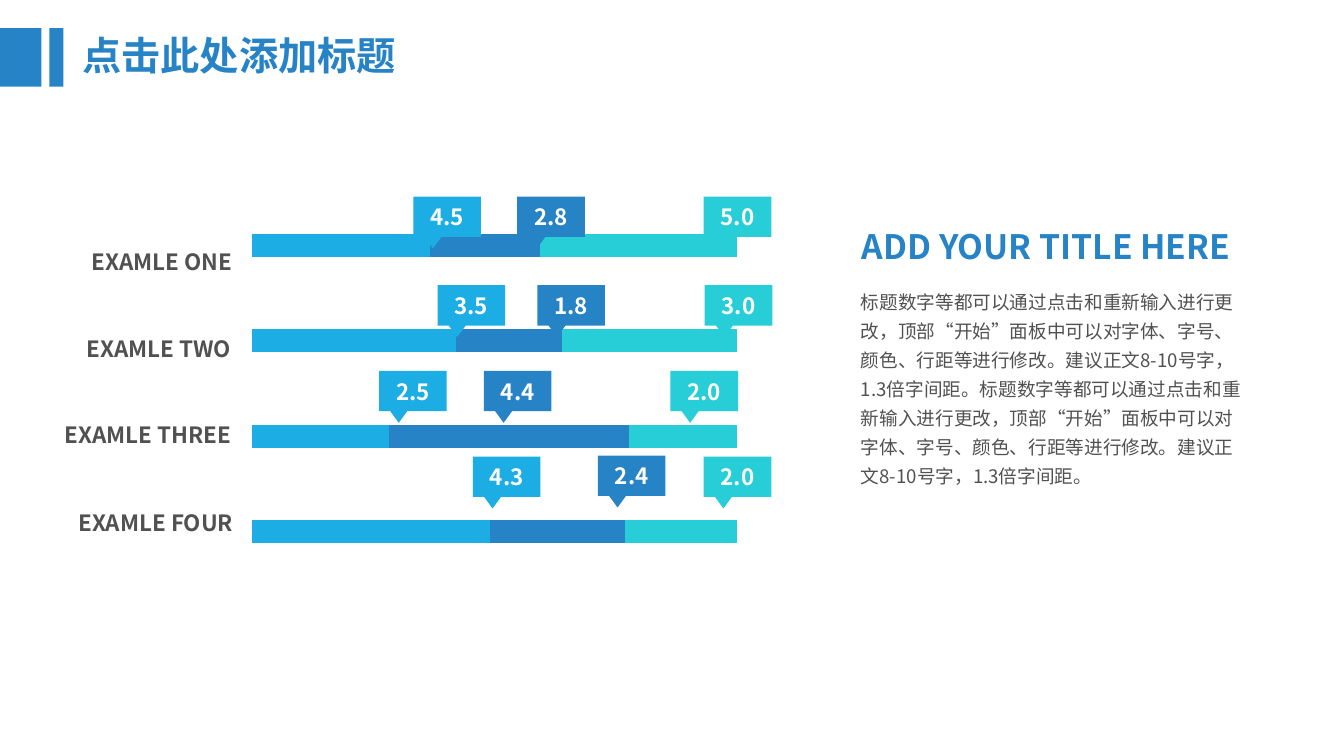
from dataclasses import dataclass
from typing import NamedTuple

from pptx import Presentation
from pptx.chart.data import CategoryChartData
from pptx.dml.color import RGBColor
from pptx.enum.chart import XL_CHART_TYPE as Kind
from pptx.enum.lang import MSO_LANGUAGE_ID as Lang
from pptx.enum.shapes import MSO_SHAPE as Form
from pptx.enum.text import MSO_ANCHOR as Anchor, MSO_AUTO_SIZE as Fit, PP_ALIGN as Align
from pptx.oxml.xmlchemy import OxmlElement
from pptx.shapes.autoshape import Shape
from pptx.slide import Slide
from pptx.util import Pt

SCALE = 9144


@dataclass(frozen=True)
class Theme:
    sky: str = "1CADE4"
    blue: str = "2683C6"
    teal: str = "27CED7"
    grey: str = "515151"
    white: str = "FFFFFF"
    black: str = "000000"
    face: str = "Noto Sans CJK SC"
    plain: str = "Calibri"
    title: float = 28
    head: float = 24
    label: float = 16
    body: float = 13.3
    chart: float = 10


THEME = Theme()
HUES = (THEME.sky, THEME.blue, THEME.teal)


class Box(NamedTuple):
    x: int
    y: int
    w: int
    h: int

    def emu(self) -> list[int]:
        return [side * SCALE for side in self]


@dataclass(frozen=True)
class Note:
    text: str
    box: Box
    size: float
    color: str
    bold: bool = True
    align: Align = Align.LEFT
    space: float = 1.0
    wrap: bool = False
    fit: Fit = Fit.SHAPE_TO_FIT_TEXT
    anchor: Anchor = Anchor.TOP


class Tag(NamedTuple):
    text: str
    x: int
    y: int


class Series(NamedTuple):
    name: str
    vals: tuple[int, ...]


BODY = (
    "标题数字等都可以通过点击和重新输入进行更改，顶部“开始”面板中可以对字体、字号、"
    "颜色、行距等进行修改。建议正文8-10号字，1.3倍字间距。"
) * 2

BARS = (Box(0, 28, 41, 58), Box(49, 28, 14, 58))

LABELS = (
    ("EXAMLE ONE", Box(69, 228, 171, 50)),
    ("EXAMLE TWO", Box(61, 314, 178, 50)),
    ("EXAMLE THREE", Box(44, 400, 195, 50)),
    ("EXAMLE FOUR", Box(56, 487, 185, 50)),
)

NOTES = (
    Note("点击此处添加标题", Box(72, 28, 577, 58), THEME.title, THEME.blue,
         space=0.9, wrap=True, fit=Fit.NONE, anchor=Anchor.MIDDLE),
    *(Note(text, box, THEME.label, THEME.grey, align=Align.RIGHT, space=1.5)
      for text, box in LABELS),
    Note(BODY, Box(844, 277, 407, 214), THEME.body, THEME.grey,
         bold=False, space=1.3, wrap=True),
    Note("ADD YOUR TITLE HERE", Box(845, 219, 408, 50), THEME.head, THEME.blue),
)

TAGS = (
    (Tag("4.5", 410, 195), Tag("2.8", 513, 195), Tag("5.0", 698, 195)),
    (Tag("3.5", 434, 283), Tag("1.8", 533, 283), Tag("3.0", 699, 283)),
    (Tag("2.5", 376, 368), Tag("4.4", 480, 368), Tag("2.0", 665, 368)),
    (Tag("4.3", 469, 453), Tag("2.4", 593, 452), Tag("2.0", 698, 453)),
)

DATA = (
    Series("Series 1", (49, 28, 42, 37)),
    Series("Series 2", (28, 49, 22, 23)),
    Series("Series 3", (23, 22, 36, 41)),
)


def tint(code: str) -> RGBColor:
    return RGBColor.from_string(code)


def write(shape: Shape, note: Note) -> None:
    frame = shape.text_frame
    frame.word_wrap = note.wrap
    frame.auto_size = note.fit
    frame.vertical_anchor = note.anchor
    para = frame.paragraphs[0]
    para.alignment = note.align
    para.line_spacing = note.space
    run = para.add_run()
    run.text = note.text
    font = run.font
    font.size = Pt(note.size)
    font.bold = note.bold
    font.language_id = Lang.SIMPLIFIED_CHINESE
    font.color.rgb = tint(note.color)
    font.name = THEME.face
    east = OxmlElement("a:ea")
    east.set("typeface", THEME.face)
    run._r.get_or_add_rPr().append(east)


def block(slide: Slide, form: Form, box: Box, color: str) -> Shape:
    shape = slide.shapes.add_shape(form, *box.emu())
    shape.shadow.inherit = False
    shape.fill.solid()
    shape.fill.fore_color.rgb = tint(color)
    shape.line.fill.background()
    return shape


def plot(slide: Slide, box: Box) -> None:
    data = CategoryChartData()
    data.categories = ["1", "2", "3", "4"]
    for item in DATA:
        data.add_series(item.name, item.vals)
    chart = slide.shapes.add_chart(Kind.BAR_STACKED_100, *box.emu(), data).chart
    chart.has_legend = False
    chart.has_title = False
    chart.font.name = THEME.plain
    chart.font.size = Pt(THEME.chart)
    chart.font.color.rgb = tint(THEME.black)
    for axis in (chart.category_axis, chart.value_axis):
        axis.has_major_gridlines = False
        axis.visible = False
    bars = chart.plots[0]
    bars.vary_by_categories = False
    bars.gap_width = 315
    bars.overlap = 100
    for series, hue in zip(bars.series, HUES):
        series.format.fill.solid()
        series.format.fill.fore_color.rgb = tint(hue)


def flag(slide: Slide, tag: Tag, color: str) -> None:
    box = Box(tag.x, tag.y, 67, 40)
    shape = block(slide, Form.RECTANGULAR_CALLOUT, box, color)
    shape.adjustments[0] = -0.208
    shape.adjustments[1] = 0.788
    write(shape, Note(tag.text, box, THEME.label, THEME.white, align=Align.CENTER,
                      wrap=True, fit=Fit.NONE, anchor=Anchor.MIDDLE))


def main() -> None:
    deck = Presentation()
    deck.slide_width, deck.slide_height = 1333 * SCALE, 750 * SCALE
    slide = deck.slides.add_slide(deck.slide_layouts[6])
    for bar in BARS:
        block(slide, Form.RECTANGLE, bar, THEME.blue)
    plot(slide, Box(240, 188, 501, 395))
    for note in NOTES:
        write(slide.shapes.add_textbox(*note.box.emu()), note)
    for row in TAGS:
        for tag, hue in zip(row, HUES):
            flag(slide, tag, hue)
    deck.save("out.pptx")


if __name__ == "__main__":
    main()
